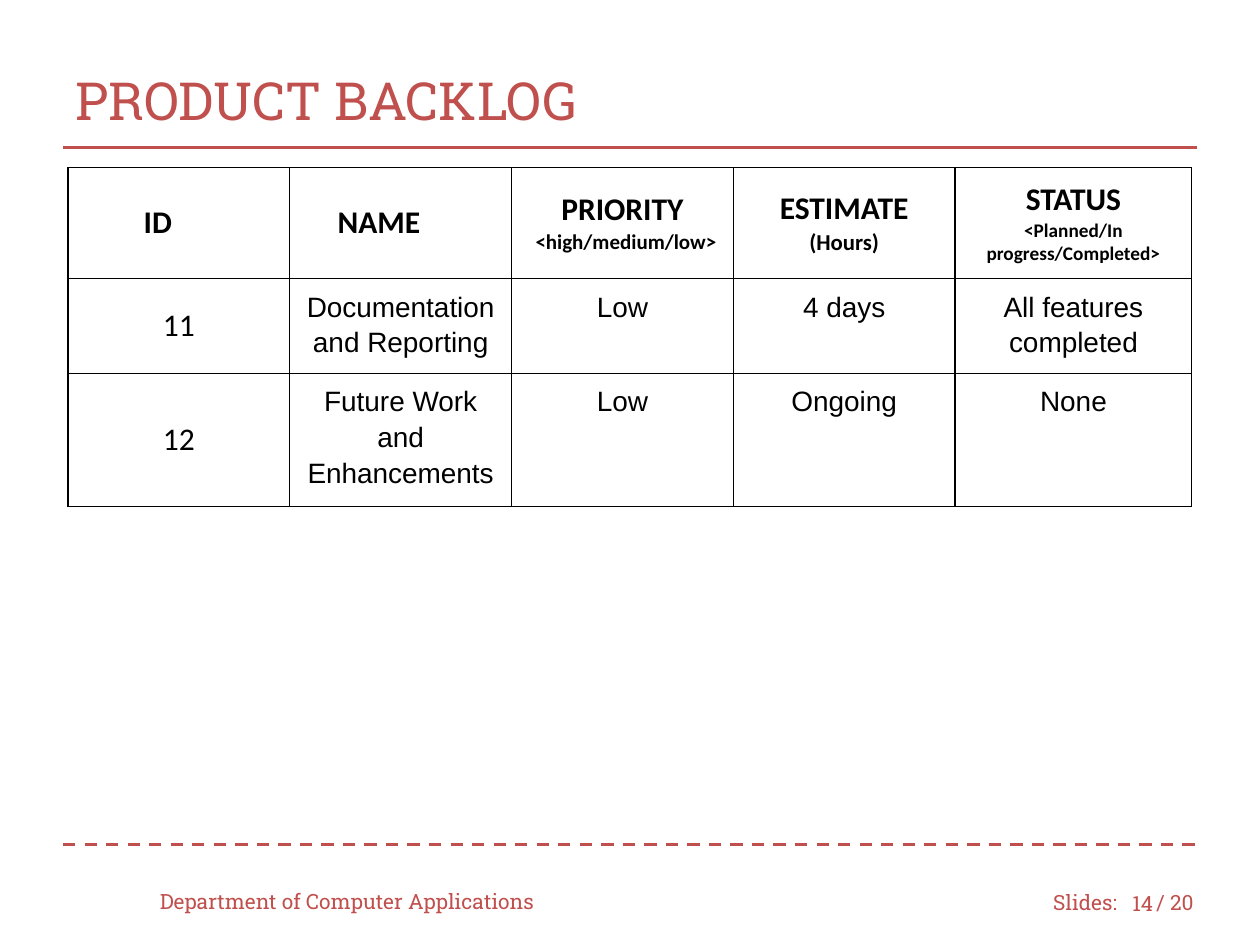
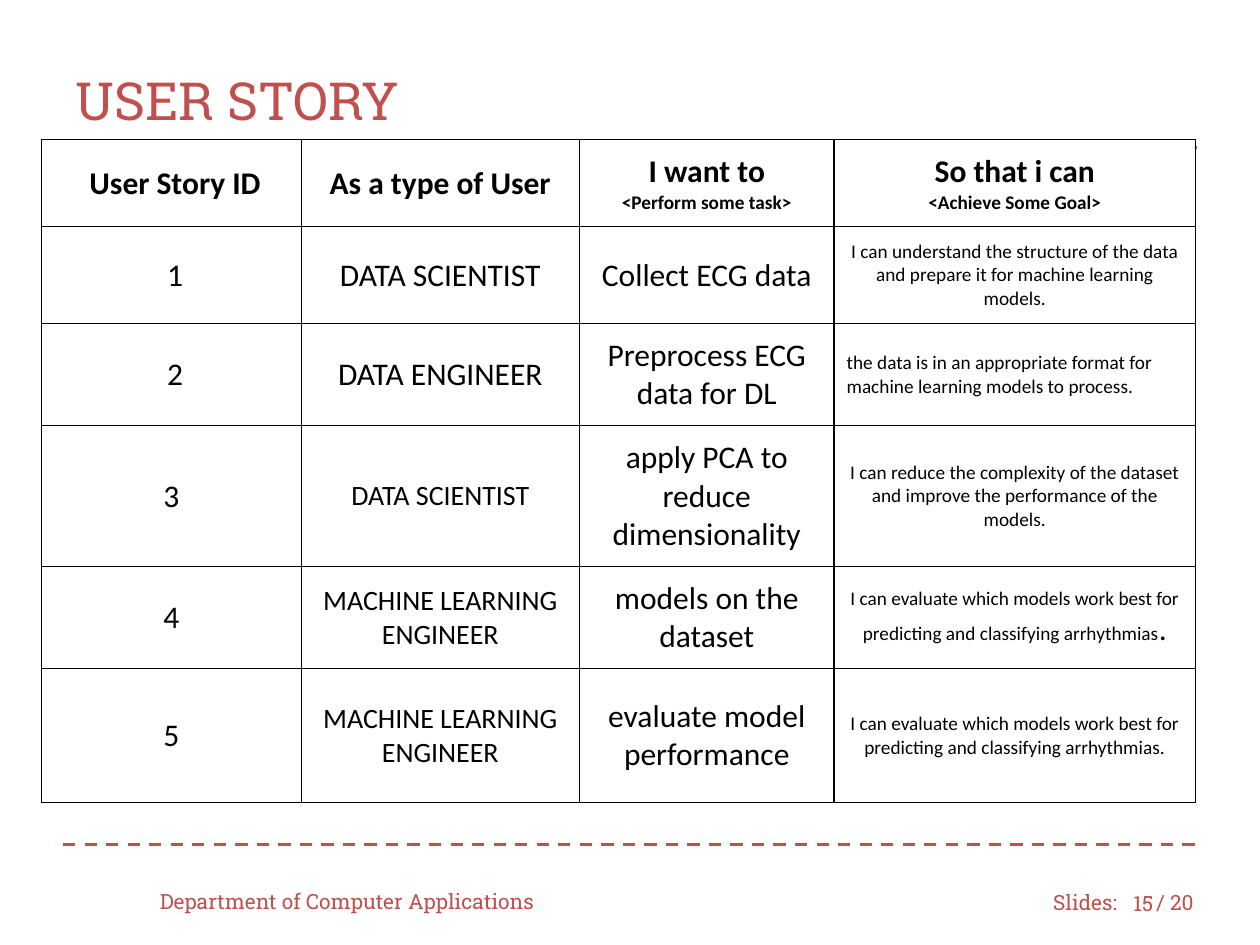
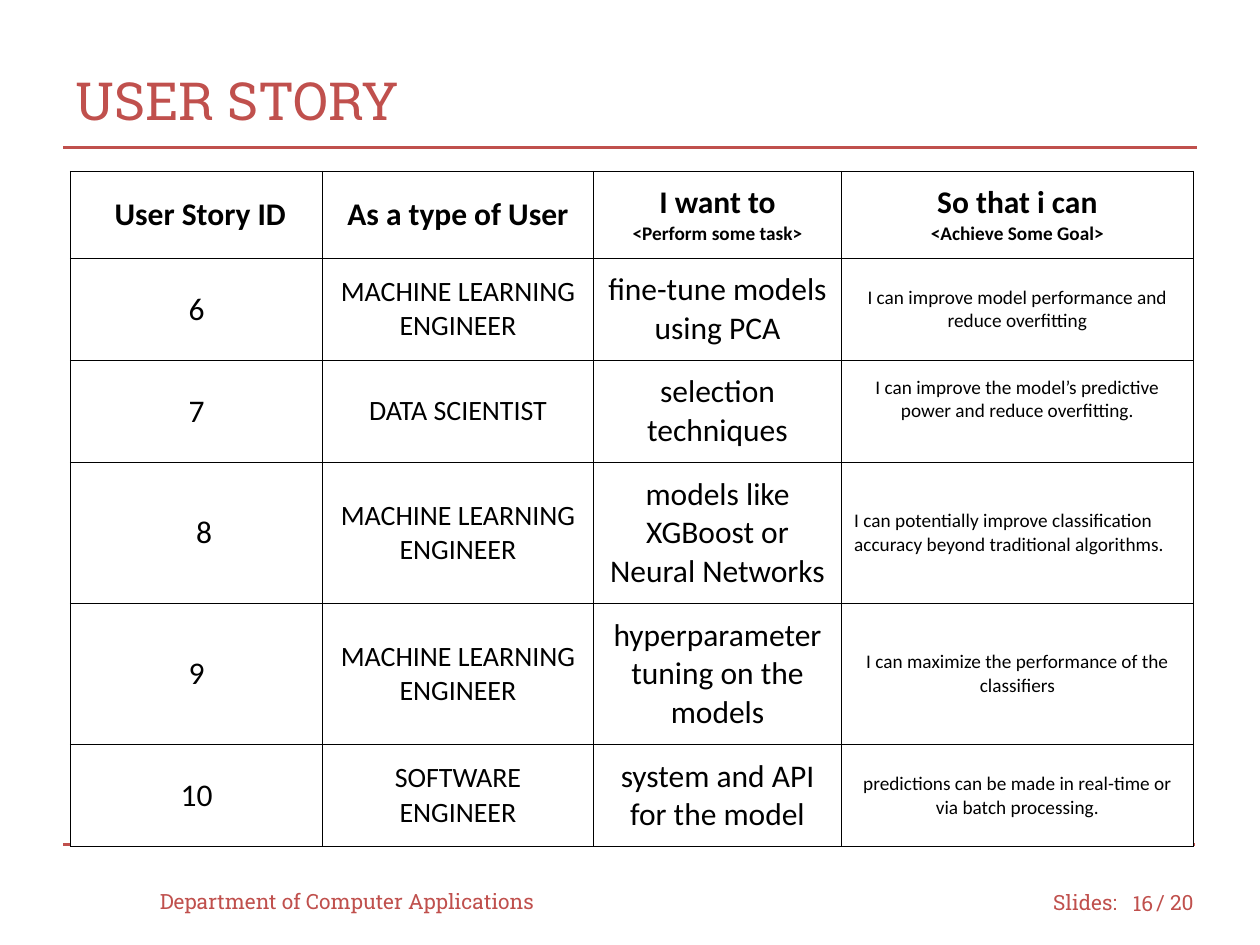
"""Build three project review slides: a product backlog and two user story tables."""
from lxml.etree import SubElement
from pptx import Presentation
from pptx.dml.color import RGBColor
from pptx.enum.dml import MSO_LINE
from pptx.enum.shapes import MSO_CONNECTOR
from pptx.enum.text import MSO_ANCHOR, PP_ALIGN
from pptx.oxml.ns import qn
from pptx.util import Inches, Pt

COLORS = {"accent": "C0504D", "ink": "000000", "paper": "FFFFFF"}
SLAB, BODY, PLAIN = "Roboto Slab", "Calibri", "Arial"
TOTAL = 20


def write(tf, text, size=18, font=BODY, color="ink", bold=False,
          align=PP_ALIGN.LEFT, indent=0, spacing=None, inline=False):
    p = tf.paragraphs[-1]
    if p.runs and not inline:
        p = tf.add_paragraph()
    if not inline:
        p.alignment = align
        if spacing:
            p.line_spacing = spacing
        if indent:
            p._p.get_or_add_pPr().set("marL", str(Inches(indent)))
    r = p.add_run()
    r.text = text
    r.font.size = Pt(size)
    r.font.name = font
    r.font.bold = bold
    r.font.color.rgb = RGBColor.from_string(COLORS[color])


def centred(text, size=18, **fmt):
    return dict(text=text, size=size, align=PP_ALIGN.CENTER) | fmt


def header(*lines):
    return [dict(line, bold=True) for line in lines]


class Deck:
    def __init__(self):
        self.prs = Presentation()
        self.prs.slide_width, self.prs.slide_height = Inches(10), Inches(7.5)
        self.s = None

    def text(self, x, y, w, h, text, **fmt):
        tf = self.s.shapes.add_textbox(Inches(x), Inches(y), Inches(w), Inches(h)).text_frame
        tf.word_wrap = True
        tf.vertical_anchor = MSO_ANCHOR.MIDDLE
        write(tf, text, **(dict(size=12, font=SLAB, color="accent") | fmt))

    def rule(self, y, dash=None):
        sp = self.s.shapes.add_connector(
            MSO_CONNECTOR.STRAIGHT, Inches(0.5), Inches(y), Inches(9.5), Inches(y))
        sp.line.color.rgb = RGBColor.from_string(COLORS["accent"])
        sp.line.width = Pt(1.75)
        if dash:
            sp.line.dash_style = dash
        SubElement(sp._element.spPr, qn("a:effectLst"))

    def slide(self, title, number):
        self.s = self.prs.slides.add_slide(self.prs.slide_layouts[6])
        self.text(8.26, 6.96, 0.75, 0.4, "Slides:")
        self.text(9.08, 6.96, 0.58, 0.4, f"/ {TOTAL}")
        self.rule(6.7, MSO_LINE.DASH)
        self.rule(1.17)
        self.text(0.5, 0.33, 9, 0.92, title, size=30)
        self.text(1.17, 6.95, 3.33, 0.4, "Department of Computer Applications")
        self.text(8.83, 6.97, 0.42, 0.4, str(number), align=PP_ALIGN.RIGHT)

    def border(self, cell):
        tcPr = cell._tc.get_or_add_tcPr()
        for side in ("lnL", "lnR", "lnT", "lnB"):
            ln = SubElement(tcPr, qn(f"a:{side}"), w=str(Pt(0.75)))
            fill = SubElement(ln, qn("a:solidFill"))
            SubElement(fill, qn("a:srgbClr"), val=COLORS["ink"])

    def cell(self, cell, lines, inset=0.1, anchor=MSO_ANCHOR.MIDDLE):
        self.border(cell)
        cell.fill.solid()
        cell.fill.fore_color.rgb = RGBColor.from_string(COLORS["paper"])
        cell.margin_left = cell.margin_right = Inches(inset)
        cell.margin_top = cell.margin_bottom = Inches(inset)
        cell.vertical_anchor = anchor
        for line in lines:
            write(cell.text_frame, **line)

    def table(self, x, y, cols, heights, rows):
        table = self.s.shapes.add_table(
            len(rows), len(cols), Inches(x), Inches(y),
            Inches(sum(cols)), Inches(sum(heights))).table
        table.first_row = table.horz_banding = False
        for col, w in zip(table.columns, cols):
            col.width = Inches(w)
        for row, h, contents in zip(table.rows, heights, rows):
            row.height = Inches(h)
            for cell, lines in zip(row.cells, contents):
                plain = lines[0].get("font") == PLAIN
                self.cell(cell, lines, 0.07 if plain else 0.1,
                          MSO_ANCHOR.TOP if plain else MSO_ANCHOR.MIDDLE)
        return table


BACKLOG_HEADER = [
    header(dict(text="ID", indent=0.5)),
    header(dict(text="NAME", indent=0.28)),
    header(centred("PRIORITY"), dict(text="<high/medium/low>", size=12, indent=0.09)),
    header(centred("ESTIMATE"), centred("(Hours)", 13)),
    header(centred("STATUS"), centred("<Planned/In progress/Completed>", 11)),
]
BACKLOG = [
    ("11", "Documentation and Reporting", "Low", "4 days", "All features completed"),
    ("12", "Future Work and Enhancements", "Low", "Ongoing", "None"),
]
STORY_HEADER = [
    header(centred("User Story ID", indent=0.06)),
    header(centred("As a type of User")),
    header(centred("I want to"), centred("<Perform some task>", 11)),
    header(centred("So that i can"), centred("<Achieve Some Goal>", 11)),
]
ML_ENGINEER = "MACHINE LEARNING ENGINEER"
CLASSIFY = "I can evaluate which models work best for predicting and classifying arrhythmias"
STORIES = [
    ("DATA SCIENTIST", "Collect ECG data",
     "I can understand the structure of the data and prepare it for machine learning models."),
    ("DATA ENGINEER", "Preprocess ECG data for DL",
     "the data is in an appropriate format for machine learning models to process."),
    ("DATA SCIENTIST", "apply PCA to reduce dimensionality",
     "I can reduce the complexity of the dataset and improve the performance of the models."),
    (ML_ENGINEER, "models on the dataset", CLASSIFY),
    (ML_ENGINEER, "evaluate model performance", CLASSIFY + "."),
    (ML_ENGINEER, "fine-tune models using PCA",
     "I can improve model performance and reduce overfitting"),
    (ML_ENGINEER.replace(ML_ENGINEER, "DATA SCIENTIST"), "selection techniques",
     "I can improve the model’s predictive power and reduce overfitting."),
    (ML_ENGINEER, "models like XGBoost or Neural Networks",
     "I can potentially improve classification accuracy beyond traditional algorithms."),
    (ML_ENGINEER, "hyperparameter tuning on the models",
     "I can maximize the performance of the classifiers"),
    ("SOFTWARE ENGINEER", "system and API for the model",
     "predictions can be made in real-time or via batch processing."),
]
NUMBER_INDENT = {1: 0.06, 2: 0.06, 8: 0.12}
LEFT_GOALS = (2, 8)


def backlog_row(number, *values):
    return [[centred(number)]] + [
        [centred(value, 16, font=PLAIN, spacing=1.15)] for value in values]


def story_row(number, user, task, goal):
    goal_align = PP_ALIGN.LEFT if number in LEFT_GOALS else PP_ALIGN.CENTER
    goal_lines = [centred(goal, 11, align=goal_align)]
    if number == 4:
        goal_lines.append(dict(text=".", inline=True))
    return [
        [centred(str(number), indent=NUMBER_INDENT.get(number, 0))],
        [centred(user, 18 if number <= 2 else 16)],
        [centred(task)],
        goal_lines,
    ]


def main():
    deck = Deck()
    deck.slide("PRODUCT BACKLOG", 14)
    deck.table(0.54, 1.33, [1.76] * 4 + [1.88], [0.88, 0.71, 0.99],
               [BACKLOG_HEADER] + [backlog_row(*item) for item in BACKLOG])

    stories = [story_row(i, *story) for i, story in enumerate(STORIES, 1)]
    deck.slide("USER STORY", 15)
    deck.table(0.33, 1.11, [2.06, 2.21, 2.02, 2.87], [0.69, 0.77, 0.81, 1.12, 0.81, 1.06],
               [STORY_HEADER] + stories[:5])

    deck.slide("USER STORY", 16)
    table = deck.table(0.56, 1.36, [2, 2.15, 1.97, 2.79], [0.69, 0.81, 0.81, 1.12, 1.12, 0.81],
                       [STORY_HEADER] + stories[5:])
    table.cell(2, 3).margin_bottom = Inches(0.29)
    deck.prs.save("out.pptx")


if __name__ == "__main__":
    main()
